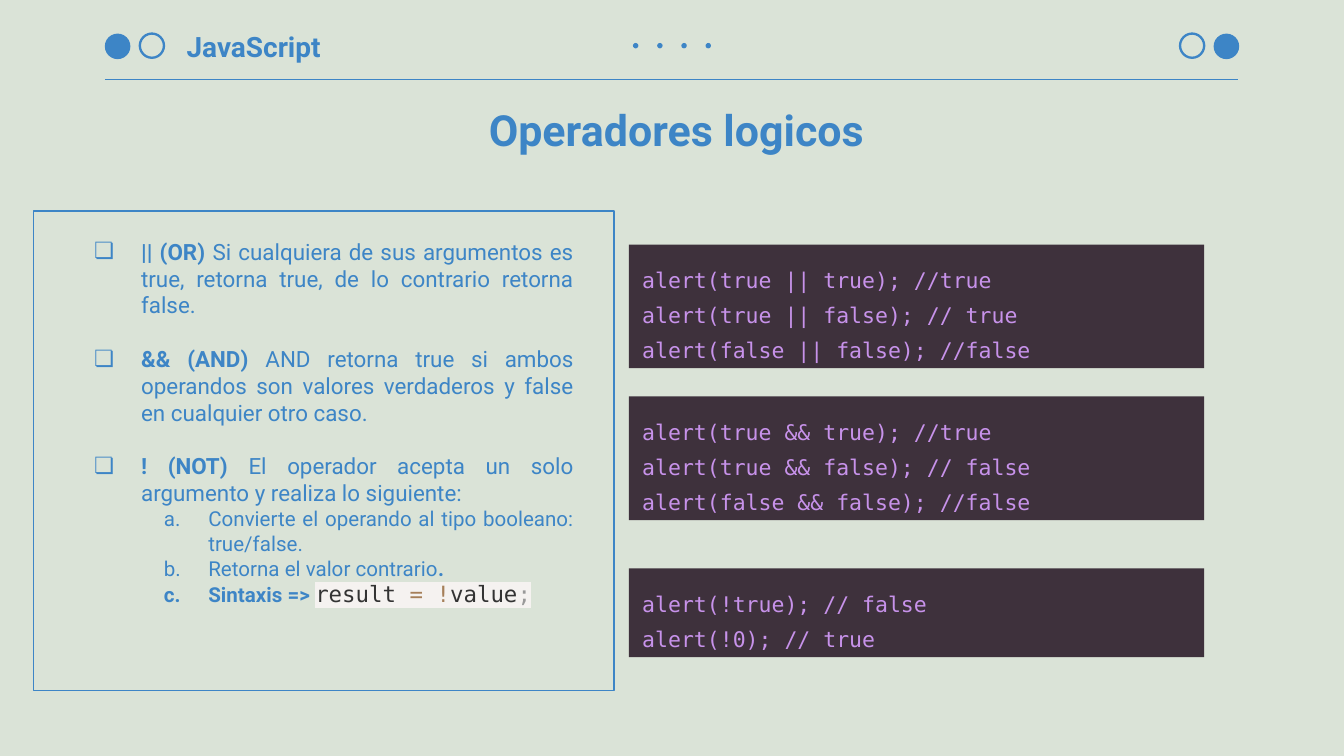
from lxml.etree import SubElement
from pptx import Presentation
from pptx.dml.color import RGBColor
from pptx.enum.shapes import MSO_CONNECTOR as Connector, MSO_SHAPE as Preset
from pptx.enum.text import MSO_ANCHOR as Anchor, PP_ALIGN as Align
from pptx.oxml.ns import qn
from pptx.util import Inches, Pt

BACKGROUND = RGBColor(0xDA, 0xE3, 0xD7)
BLUE = RGBColor(0x3D, 0x85, 0xC6)
PLUM = RGBColor(0x3E, 0x31, 0x3C)
LILAC = RGBColor(0xC7, 0x92, 0xEA)
INK = RGBColor(0x33, 0x33, 0x33)
BROWN = RGBColor(0xA6, 0x7F, 0x59)
GREY = RGBColor(0x99, 0x99, 0x99)
CREAM = RGBColor(0xF5, 0xF2, 0xF0)
SANS, MONO = "Roboto", "DejaVu Sans Mono"

OPERATORS = [
    ("|| (OR) ", "Si cualquiera de sus argumentos es true, retorna true, "
                 "de lo contrario retorna false."),
    ("&& (AND) ", "AND retorna true si ambos operandos son valores verdaderos "
                  "y false en cualquier otro caso."),
    ("! (NOT) ", "El operador acepta un solo argumento y realiza lo siguiente:"),
]
SYNTAX = [("result ", INK), ("=", BROWN), (" ", INK), ("!", BROWN),
          ("value", INK), (";", GREY)]
EXAMPLES = [
    (1.82, 0.92, ["alert(true || true); //true", "alert(true || false); // true",
                  "alert(false || false); //false"]),
    (2.95, 0.92, ["alert(true && true); //true", "alert(true && false); // false",
                  "alert(false && false); //false"]),
    (4.23, 0.66, ["alert(!true); // false", "alert(!0); // true"]),
]


def add_span(para, text, size=12, font=SANS, color=BLUE, bold=False, highlight=None):
    span = para.add_run()
    span.text = text
    span.font.size = Pt(size)
    span.font.bold = bold
    span.font.name = font
    span.font.color.rgb = color
    if highlight is not None:
        mark = SubElement(span.font._element, qn("a:highlight"))
        SubElement(mark, qn("a:srgbClr"), val=str(highlight))
        span.font._element.find(qn("a:solidFill")).addnext(mark)


class Page:
    """Style and drawing methods for one slide."""

    def __init__(self, deck):
        self.slide = deck.slides.add_slide(deck.slide_layouts[6])
        self.shapes = self.slide.shapes
        fill = self.slide.background.fill
        fill.solid()
        fill.fore_color.rgb = BACKGROUND

    def shape(self, preset, left, top, width, height, fill=None, line=None, weight=0.75):
        box = self.shapes.add_shape(
            preset, Inches(left), Inches(top), Inches(width), Inches(height))
        box.shadow.inherit = False
        if fill is None:
            box.fill.background()
        else:
            box.fill.solid()
            box.fill.fore_color.rgb = fill
        if line is None:
            box.line.fill.background()
        else:
            box.line.color.rgb = line
            box.line.width = Pt(weight)
        return box

    def disc(self, left, top, size):
        self.shape(Preset.OVAL, left, top, size, size, fill=BLUE)

    def ring(self, left, top, size):
        self.shape(Preset.OVAL, left, top, size, size, line=BLUE, weight=1.25)

    def rule(self, left, right, top):
        line = self.shapes.add_connector(
            Connector.STRAIGHT, Inches(left), Inches(top), Inches(right), Inches(top))
        line.line.color.rgb = BLUE
        line.line.width = Pt(0.75)
        SubElement(line._element.spPr, qn("a:effectLst"))

    def frame(self, box, anchor=Anchor.TOP, side=0.1, edge=0.1):
        frame = box.text_frame
        frame.word_wrap = True
        frame.vertical_anchor = anchor
        frame.margin_left = frame.margin_right = Inches(side)
        frame.margin_top = frame.margin_bottom = Inches(edge)
        return frame

    def heading(self, text, left, top, width, height, size, align):
        box = self.shapes.add_textbox(
            Inches(left), Inches(top), Inches(width), Inches(height))
        para = self.frame(box, Anchor.MIDDLE).paragraphs[0]
        para.alignment = align
        add_span(para, text, size=size, bold=True)

    def item(self, para, level=0, before=0):
        """Turn a paragraph into a checkbox item or a lettered sub-item."""
        para.alignment = Align.JUSTIFY
        para.level = level
        para.space_before = Pt(before)
        props = para._p.get_or_add_pPr()
        props.set("marL", str(Inches(0.5 * (level + 1))))
        props.set("indent", str(-Inches(0.33 if level else 0.35)))
        color = SubElement(props, qn("a:buClr"))
        SubElement(color, qn("a:srgbClr"), val=str(BLUE))
        SubElement(props, qn("a:buFont"), typeface=SANS)
        if level:
            SubElement(props, qn("a:buAutoNum"), type="alphaLcPeriod")
        else:
            SubElement(props, qn("a:buChar"), char="❏")
        return para

    def code(self, top, height, lines):
        box = self.shape(Preset.RECTANGLE, 4.68, top, 4.28, height, fill=PLUM)
        frame = self.frame(box)
        for index, text in enumerate(lines):
            para = frame.add_paragraph() if index else frame.paragraphs[0]
            para.alignment = Align.LEFT
            para.line_spacing = 1.36
            add_span(para, text, size=11.5, font=MONO, color=LILAC)


def main():
    # Widescreen slide, 16:9
    deck = Presentation()
    deck.slide_width, deck.slide_height = Inches(10), Inches(10 * 9 / 16)
    page = Page(deck)

    # Header
    page.rule(0.78, 9.21, 0.59)
    page.disc(0.78, 0.25, 0.19)
    page.ring(1.04, 0.25, 0.18)
    page.ring(8.78, 0.25, 0.18)
    page.disc(9.03, 0.25, 0.19)
    for index in range(4):
        page.disc(4.71 + 0.18 * index, 0.32, 0.04)
    page.heading("JavaScript", 1.29, 0.16, 1.35, 0.37, 15, Align.LEFT)
    page.heading("Operadores logicos", 0.82, 0.61, 8.43, 0.71, 23, Align.CENTER)

    # Operator descriptions
    panel = page.shape(Preset.RECTANGLE, 0.25, 1.57, 4.32, 3.57, line=BLUE)
    frame = page.frame(panel, side=0.3, edge=0.2)
    for index, (name, meaning) in enumerate(OPERATORS):
        para = frame.add_paragraph() if index else frame.paragraphs[0]
        page.item(para, before=14.3 if index else 0)
        add_span(para, name, bold=True)
        add_span(para, meaning)

    # Steps of the NOT operator
    steps = [page.item(frame.add_paragraph(), level=1) for _ in range(3)]
    add_span(steps[0], "Convierte el operando al tipo booleano: true/false.", size=11)
    add_span(steps[1], "Retorna el valor contrario", size=11)
    add_span(steps[1], ".", size=11, bold=True)
    add_span(steps[2], "Sintaxis => ", size=11, bold=True)
    for text, color in SYNTAX:
        add_span(steps[2], text, font=MONO, color=color, highlight=CREAM)

    # Code examples
    for top, height, lines in EXAMPLES:
        page.code(top, height, lines)

    deck.save("out.pptx")


if __name__ == "__main__":
    main()
